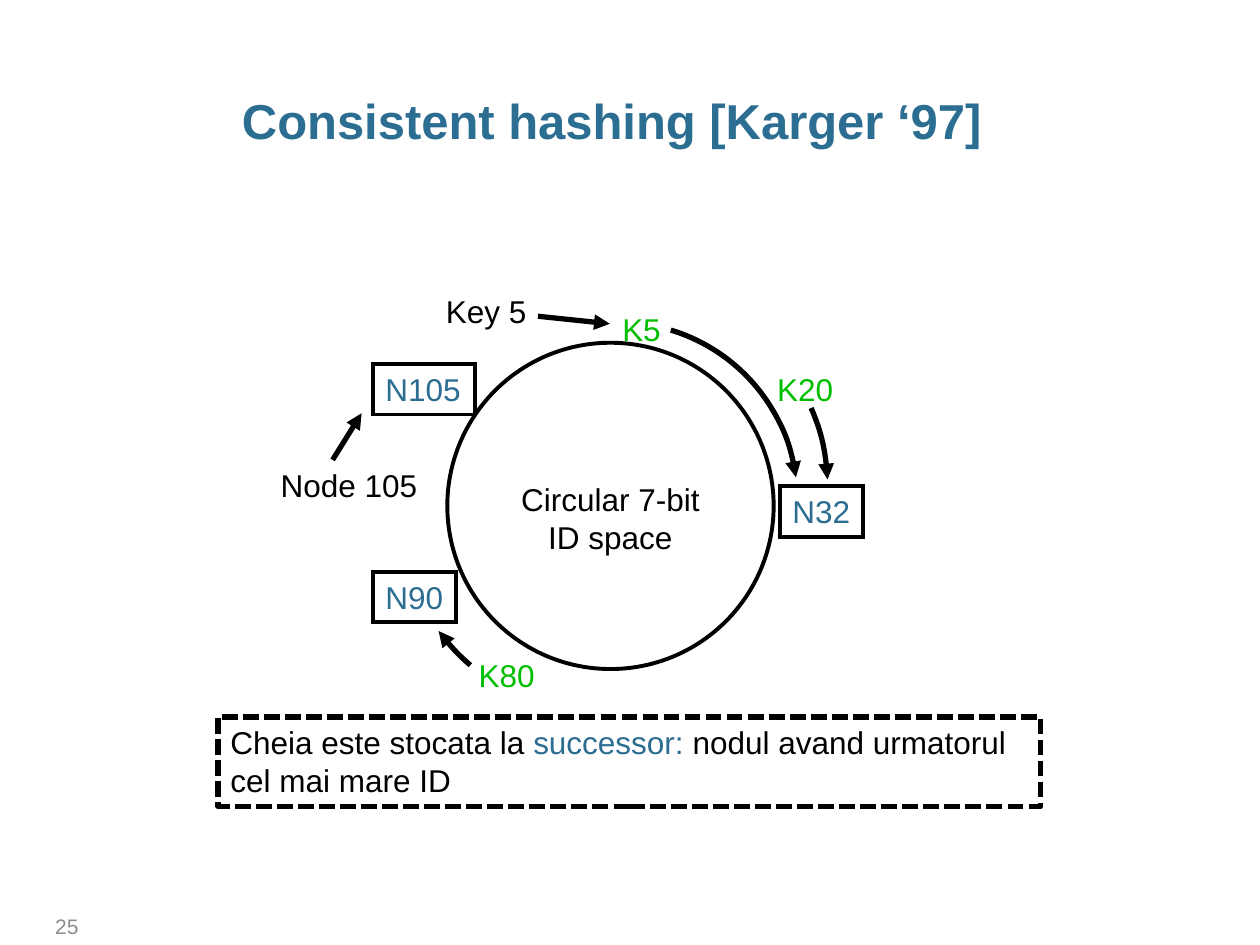
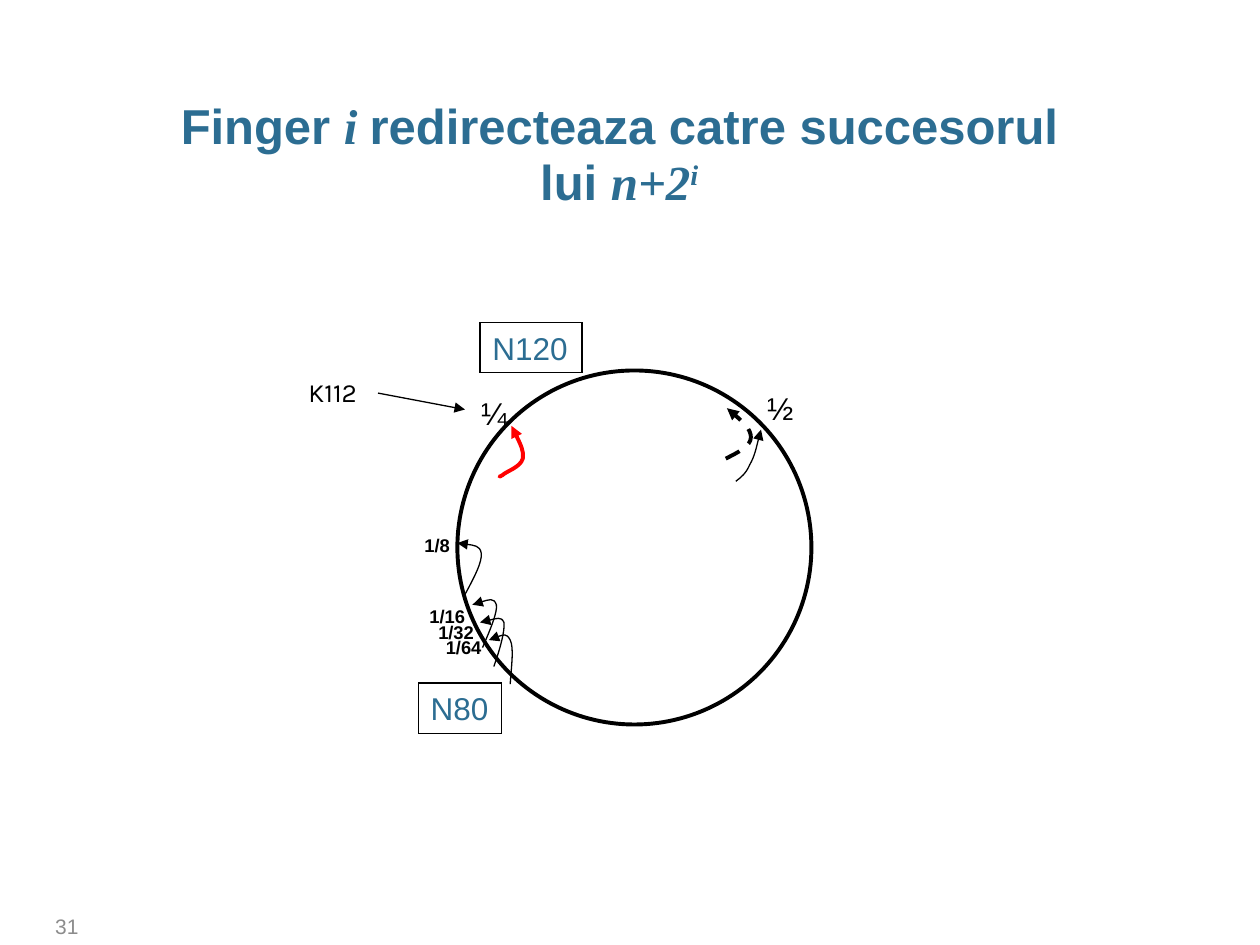
from pptx import Presentation
from pptx.dml.color import RGBColor
from pptx.enum.dml import MSO_LINE
from pptx.enum.shapes import MSO_CONNECTOR, MSO_SHAPE
from pptx.enum.text import MSO_ANCHOR, MSO_AUTO_SIZE, PP_ALIGN
from pptx.oxml.ns import qn
from pptx.util import Emu, Pt
from lxml import etree

PX = 9144  # 100 px to the inch
BLACK = RGBColor(0x00, 0x00, 0x00)
WHITE = RGBColor(0xFF, 0xFF, 0xFF)
RED = RGBColor(0xFF, 0x00, 0x00)
BLUE = RGBColor(0x2C, 0x6D, 0x92)
GREEN = RGBColor(0x00, 0xBE, 0x00)
GRAY = RGBColor(0x8C, 0x8C, 0x8C)
BODY_FONT = "Arial"
MATH_FONT = "Times New Roman"


def px(*lengths):
    return [Emu(length * PX) for length in lengths]


def add_run(paragraph, text, size=18, color=BLACK, bold=False, italic=False,
            font=BODY_FONT, superscript=False):
    run = paragraph.add_run()
    run.text = text
    run.font.name = font
    run.font.size = Pt(size)
    run.font.bold = bold
    run.font.italic = italic
    run.font.color.rgb = color
    if superscript:
        run.font._element.set("baseline", "30000")


def hug_text(shape):
    """Let the shape grow with its unwrapped, top-left text."""
    frame = shape.text_frame
    frame.word_wrap = False
    frame.auto_size = MSO_AUTO_SIZE.SHAPE_TO_FIT_TEXT
    frame.vertical_anchor = MSO_ANCHOR.TOP
    frame.paragraphs[0].alignment = PP_ALIGN.LEFT
    return frame


def add_label(shapes, box, text, **style):
    frame = hug_text(shapes.add_textbox(*px(*box)))
    add_run(frame.paragraphs[0], text, **style)


def style_line(line, width, color=BLACK):
    line.color.rgb = color
    line.width = Pt(width)


def add_outline(shapes, preset, box, width):
    shape = shapes.add_shape(preset, *px(*box))
    shape.shadow.inherit = False
    shape.fill.background()
    style_line(shape.line, width)
    return shape


def add_line_part(line, tag, **attributes):
    etree.SubElement(line._get_or_add_ln(), qn(tag), **attributes)


def add_arrowhead(line):
    add_line_part(line, "a:tailEnd", type="triangle")


def add_node(shapes, left, top, name, line_width):
    width = 81 if len(name) == 4 else 66
    node = add_outline(shapes, MSO_SHAPE.RECTANGLE, (left, top, width, 40), line_width)
    add_line_part(node.line, "a:miter", lim="800000")
    add_run(hug_text(node).paragraphs[0], name, color=BLUE)


def add_ring(shapes, left, top, diameter):
    add_outline(shapes, MSO_SHAPE.OVAL, (left, top, diameter, diameter), 2.25)


def add_arrow(shapes, start, end, width):
    arrow = shapes.add_connector(MSO_CONNECTOR.STRAIGHT, *px(*start, *end))
    style_line(arrow.line, width)
    add_arrowhead(arrow.line)
    etree.SubElement(arrow._element.spPr, qn("a:effectLst"))


def add_arc_arrow(shapes, left, top, diameter, start_degrees, end_degrees):
    arc = add_outline(shapes, MSO_SHAPE.ARC, (left, top, diameter, diameter), 3)
    # Angles are stored in 60000ths of a degree, adjustments in 100000ths.
    arc.adjustments[0] = start_degrees * 0.6
    arc.adjustments[1] = end_degrees * 0.6
    add_arrowhead(arc.line)


def bend_segments(freeform):
    """Turn every three straight segments into one cubic curve."""
    segments = list(freeform._element.iter(qn("a:lnTo")))
    for first in range(0, len(segments), 3):
        curve = etree.Element(qn("a:cubicBezTo"))
        segments[first].addprevious(curve)
        for segment in segments[first:first + 3]:
            curve.append(segment[0])
            segment.getparent().remove(segment)


def add_curved_arrow(shapes, points, width=0.75, color=BLACK, dash=None):
    """Draw cubic curves given as a start, then three points for each curve."""
    builder = shapes.build_freeform(*points[0], scale=PX)
    builder.add_line_segments(points[1:], close=False)
    arrow = builder.convert_to_shape()
    bend_segments(arrow)
    arrow.shadow.inherit = False
    arrow.fill.background()
    style_line(arrow.line, width, color)
    if dash:
        arrow.line.dash_style = dash
    add_arrowhead(arrow.line)


def add_titled_slide(presentation, number, title_box, title_runs):
    slide = presentation.slides.add_slide(presentation.slide_layouts[5])
    title = slide.shapes.title
    title.left, title.top, title.width, title.height = px(*title_box)
    frame = title.text_frame
    frame.word_wrap = True
    frame.auto_size = MSO_AUTO_SIZE.NONE
    frame.vertical_anchor = MSO_ANCHOR.TOP
    frame.margin_left = frame.margin_right = 0
    frame.margin_top, frame.margin_bottom = px(5, 5)
    paragraph = frame.paragraphs[0]
    paragraph.alignment = PP_ALIGN.CENTER
    paragraph.line_spacing = 0.95
    for text, style in title_runs:
        add_run(paragraph, text, size=28, color=BLUE, bold=True, **style)

    footer = slide.shapes.add_textbox(*px(34, 721, 737, 28)).text_frame
    footer.word_wrap = True
    footer.vertical_anchor = MSO_ANCHOR.MIDDLE
    add_run(footer.paragraphs[0], number, size=12, color=GRAY)
    return slide


def add_successor_note(shapes):
    note = add_outline(shapes, MSO_SHAPE.RECTANGLE, (173, 569, 653, 71), 3)
    note.fill.solid()
    note.fill.fore_color.rgb = WHITE
    note.line.dash_style = MSO_LINE.SQUARE_DOT
    frame = hug_text(note)
    frame.word_wrap = True
    for text, color in (("Cheia este stocata la ", BLACK), ("successor: ", BLUE),
                        ("nodul avand urmatorul cel mai mare ID", BLACK)):
        add_run(frame.paragraphs[0], text, color=color)


def add_ring_caption(shapes):
    frame = hug_text(shapes.add_textbox(*px(403, 376, 163, 71)))
    frame.add_paragraph()
    for paragraph, text in zip(frame.paragraphs, ("Circular 7-bit", "ID space")):
        paragraph.alignment = PP_ALIGN.CENTER
        add_run(paragraph, text)


def build_hashing_slide(presentation):
    slide = add_titled_slide(presentation, "25", (20, 70, 931, 50),
                             [("Consistent hashing [Karger ‘97]", {})])
    add_successor_note(slide.shapes)
    diagram = slide.shapes.add_group_shape().shapes
    add_label(diagram, (370, 516, 65, 40), "K80", color=GREEN)
    add_ring(diagram, 355, 272, 259)
    for left, top, name in ((619, 386, "N32"), (296, 454, "N90"), (296, 289, "N105")):
        add_node(diagram, left, top, name, 2.25)
    add_label(diagram, (607, 289, 65, 40), "K20", color=GREEN)
    add_label(diagram, (484, 241, 51, 40), "K5", color=GREEN)
    add_ring_caption(diagram)
    add_label(diagram, (344, 227, 85, 40), "Key 5")
    add_arrow(diagram, (427, 251), (484, 257), 3)
    add_label(diagram, (213, 365, 130, 40), "Node 105")
    add_arc_arrow(diagram, 350, 256, 283, 286.83, 352.45)
    add_arc_arrow(diagram, 331, 225, 326, 336.83, 357.38)
    add_arc_arrow(diagram, 314, 226, 344, 130.91, 143.26)
    add_arrow(diagram, (264, 365), (287, 328), 3)


def build_finger_slide(presentation):
    math_style = {"font": MATH_FONT, "italic": True}
    slide = add_titled_slide(presentation, "31", (138, 74, 707, 77), [
        ("Finger ", {}),
        ("i ", math_style),
        ("redirecteaza catre succesorul lui ", {}),
        ("n+2", math_style),
        ("i", {**math_style, "superscript": True}),
    ])
    shapes = slide.shapes
    add_ring(shapes, 363, 294, 281)
    add_node(shapes, 332, 542, "N80", 0.75)
    for left, top, fraction in ((599, 304, "½"), (372, 308, "¼")):
        add_label(shapes, (left, top, 41, 40), fraction)
    for left, top, width, fraction in ((327, 419, 41, "1/8"), (331, 475, 49, "1/16"),
                                       (338, 488, 49, "1/32"), (344, 500, 49, "1/64")):
        add_label(shapes, (left, top, width, 28), fraction, size=10.5, bold=True)

    fingers = (
        [(405, 543), (406, 528), (408, 514), (405, 508), (402, 502), (395, 505), (388, 508)],
        [(392, 529), (397, 515), (401, 500), (400, 494), (398, 489), (390, 492), (381, 494)],
        [(383, 514), (389, 500), (395, 486), (394, 480), (392, 474), (384, 477), (375, 480)],
        [(369, 472), (376, 459), (383, 446), (382, 439), (381, 433), (372, 432), (363, 431)],
        [(584, 382), (588, 379), (592, 376), (595, 369), (599, 362), (601, 352), (604, 341)],
    )
    for finger in fingers:
        add_curved_arrow(shapes, finger)

    add_label(shapes, (235, 294, 67, 35), "K112", size=15, font="Karla")
    add_arrow(shapes, (300, 312), (369, 325), 0.75)
    add_node(shapes, 381, 256, "N120", 0.75)
    add_curved_arrow(shapes, [(576, 364), (586, 359), (596, 354), (596, 347),
                              (596, 341), (587, 332), (577, 324)],
                     width=2.25, dash=MSO_LINE.DASH)
    add_curved_arrow(shapes, [(397, 378), (396, 378), (396, 379), (399, 377),
                              (402, 374), (413, 371), (415, 364),
                              (416, 358), (411, 348), (406, 338)],
                     width=2.25, color=RED)


def main():
    presentation = Presentation()
    presentation.slide_width, presentation.slide_height = px(1000, 750)
    build_hashing_slide(presentation)
    build_finger_slide(presentation)
    presentation.save("out.pptx")


if __name__ == "__main__":
    main()
